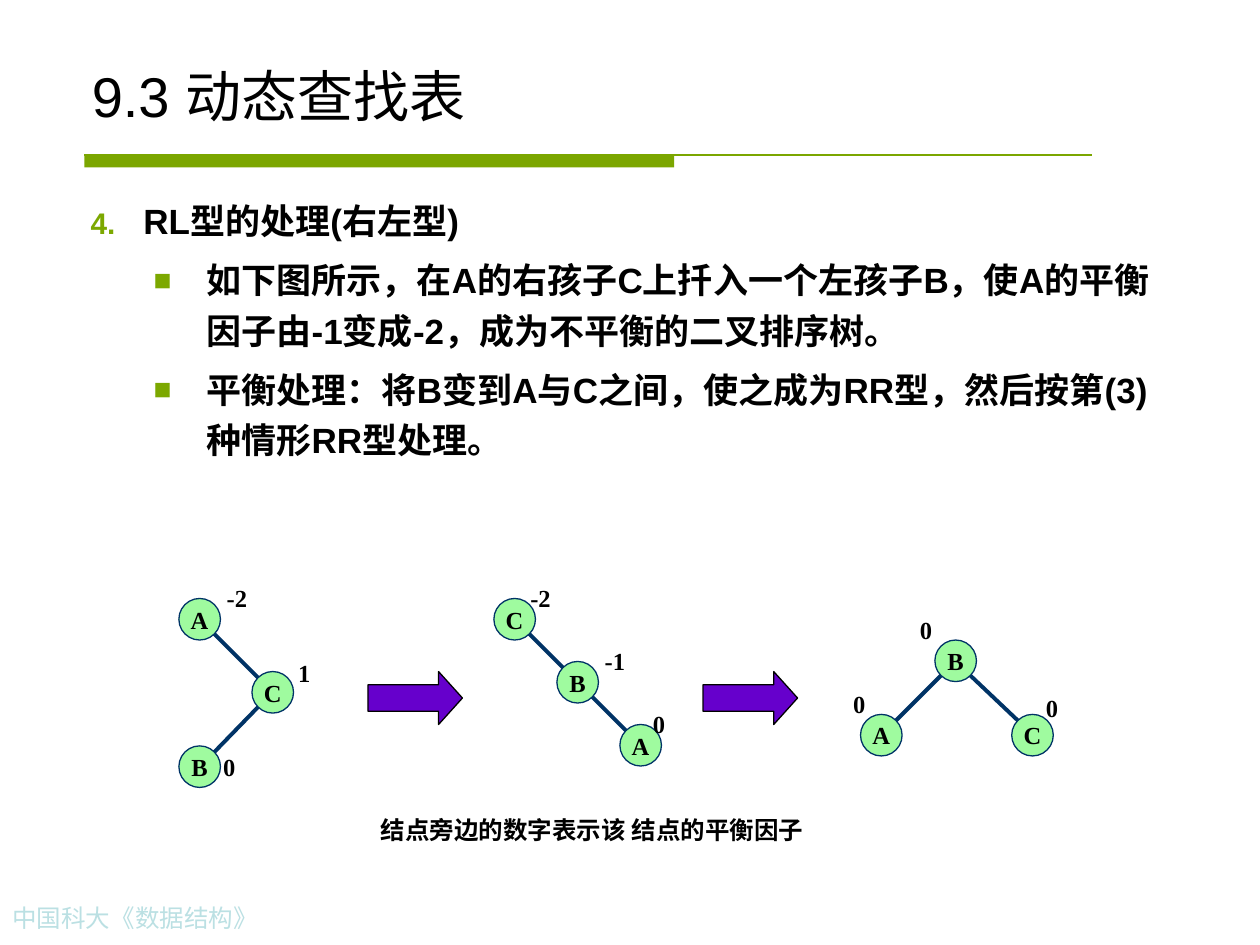
from lxml import etree
from pptx import Presentation
from pptx import util as u
from pptx.dml.color import RGBColor
from pptx.enum import shapes, text
from pptx.oxml import ns

Inches, Pt = u.Inches, u.Pt


def paint(color_format, value):
    color_format.rgb = RGBColor.from_string(value)


def write(frame, words, size, font="Times New Roman", color="000000", bold=True, paragraph=None):
    paragraph = paragraph or frame.paragraphs[0]
    run = paragraph.add_run()
    run.text = words
    run.font.size = Pt(size)
    run.font.name = font
    run.font.bold = bold
    paint(run.font.color, color)
    return paragraph


presentation = Presentation()
presentation.slide_width = Inches(10)
presentation.slide_height = Inches(7.5)
slide = presentation.slides.add_slide(presentation.slide_layouts[6])

bar = slide.shapes.add_shape(shapes.MSO_SHAPE.RECTANGLE, Inches(0.67), Inches(1.23), Inches(4.68), Inches(0.1))
bar.shadow.inherit = False
bar.fill.solid()
paint(bar.fill.fore_color, "7BA600")
bar.line.fill.background()
rule = slide.shapes.add_connector(
    shapes.MSO_CONNECTOR.STRAIGHT, Inches(0.67), Inches(1.23), Inches(8.67), Inches(1.23))
paint(rule.line.color, "7BA600")
rule.line.width = Pt(0.75)
etree.SubElement(rule._element.spPr, ns.qn("a:effectLst"))

footer = slide.shapes.add_textbox(Inches(0), Inches(7.12), Inches(3.11), Inches(0.34))
footer.text_frame.word_wrap = True
write(footer.text_frame, "中国科大《数据结构》", 14, color="BBE0E3", bold=False)

title = slide.shapes.add_textbox(Inches(0.63), Inches(0.33), Inches(8.75), Inches(0.74))
title.text_frame.word_wrap = True
title.text_frame.vertical_anchor = text.MSO_ANCHOR.BOTTOM
write(title.text_frame, "9.3 动态查找表", 32, "Arial", bold=False)

body = slide.shapes.add_textbox(Inches(0.62), Inches(1.47), Inches(8.75), Inches(2.45))
body.text_frame.word_wrap = True
points = [
    (0, "RL型的处理(右左型)"),
    (1, "如下图所示，在A的右孩子C上扦入一个左孩子B，使A的平衡因子由-1变成-2，成为不平衡的二叉排序树。"),
    (1, "平衡处理：将B变到A与C之间，使之成为RR型，然后按第(3) 种情形RR型处理。"),
]
for index, (level, words) in enumerate(points):
    paragraph = body.text_frame.add_paragraph() if index else body.text_frame.paragraphs[0]
    paragraph.level = level
    properties = paragraph._p.get_or_add_pPr()
    properties.set("marL", str(Inches(0.42 + 0.5 * level)))
    properties.set("indent", str(Inches(-0.42)))
    bullet_color = etree.SubElement(properties, ns.qn("a:buClr"))
    etree.SubElement(bullet_color, ns.qn("a:srgbClr"), val="7CA800")
    etree.SubElement(properties, ns.qn("a:buSzPct"), val="85000")
    etree.SubElement(properties, ns.qn("a:buFont"), typeface="Arial")
    if level:
        etree.SubElement(properties, ns.qn("a:buChar"), char="■")
    else:
        etree.SubElement(properties, ns.qn("a:buAutoNum"), type="arabicPeriod", startAt="4")
    paragraph.line_spacing = 1.2
    paragraph.space_before = Pt(5 if index else 0)
    write(body.text_frame, words, 20, "Arial", paragraph=paragraph)

node_size = 0.33
rim = node_size / 2 * 0.5 ** 0.5
trees = [
    {"nodes": {"A": (1.42, 4.75), "C": (2, 5.33), "B": (1.42, 5.92)},
     "edges": ["AC", "CB"],
     "factors": [("-2", 1.67, 4.58, 0.42), ("1", 2.25, 5.17, 0.33), ("0", 1.67, 5.92, 0.3)]},
    {"nodes": {"C": (3.92, 4.75), "B": (4.42, 5.25), "A": (4.92, 5.75)},
     "edges": ["CB", "BA"],
     "factors": [("-2", 4.08, 4.58, 0.42), ("-1", 4.67, 5.08, 0.42), ("0", 5.08, 5.58, 0.3)]},
    {"nodes": {"B": (7.42, 5.08), "A": (6.83, 5.67), "C": (8.03, 5.67)},
     "edges": ["BA", "BC"],
     "factors": [("0", 7.2, 4.83, 0.3), ("0", 6.67, 5.42, 0.3), ("0", 8.2, 5.45, 0.3)]},
]
for tree in trees:
    group = slide.shapes.add_group_shape()
    for name, (left, top) in tree["nodes"].items():
        node = group.shapes.add_shape(
            shapes.MSO_SHAPE.OVAL, Inches(left), Inches(top), Inches(node_size), Inches(node_size))
        node.shadow.inherit = False
        node.fill.solid()
        paint(node.fill.fore_color, "9FFB9F")
        paint(node.line.color, "003366")
        node.line.width = Pt(0.75)
        node.text_frame.word_wrap = False
        node.text_frame.vertical_anchor = text.MSO_ANCHOR.MIDDLE
        write(node.text_frame, name, 14).alignment = text.PP_ALIGN.CENTER
    for parent, child in tree["edges"]:
        (x1, y1), (x2, y2) = [
            (left + node_size / 2, top + node_size / 2)
            for left, top in (tree["nodes"][parent], tree["nodes"][child])]
        shift = rim if x2 > x1 else -rim
        edge = group.shapes.add_connector(
            shapes.MSO_CONNECTOR.STRAIGHT,
            Inches(x1 + shift), Inches(y1 + rim), Inches(x2 - shift), Inches(y2 - rim))
        paint(edge.line.color, "003366")
        edge.line.width = Pt(2.25)
        etree.SubElement(edge._element.spPr, ns.qn("a:effectLst"))
    for factor, left, top, width in tree["factors"]:
        label = group.shapes.add_textbox(Inches(left), Inches(top), Inches(width), Inches(0.34))
        label.text_frame.word_wrap = False
        write(label.text_frame, factor, 14).alignment = text.PP_ALIGN.CENTER

for left in (2.92, 5.58):
    arrow = slide.shapes.add_shape(
        shapes.MSO_SHAPE.RIGHT_ARROW, Inches(left), Inches(5.33), Inches(0.75), Inches(0.42))
    arrow.shadow.inherit = False
    arrow.adjustments[0] = 0.5
    arrow.adjustments[1] = 0.45
    arrow.fill.solid()
    paint(arrow.fill.fore_color, "6600CC")
    paint(arrow.line.color, "000000")
    arrow.line.width = Pt(0.75)

caption = slide.shapes.add_textbox(Inches(2.92), Inches(6.42), Inches(3.56), Inches(0.34))
caption.text_frame.word_wrap = False
write(caption.text_frame, "结点旁边的数字表示该 结点的平衡因子", 14).alignment = text.PP_ALIGN.CENTER

presentation.save("out.pptx")
